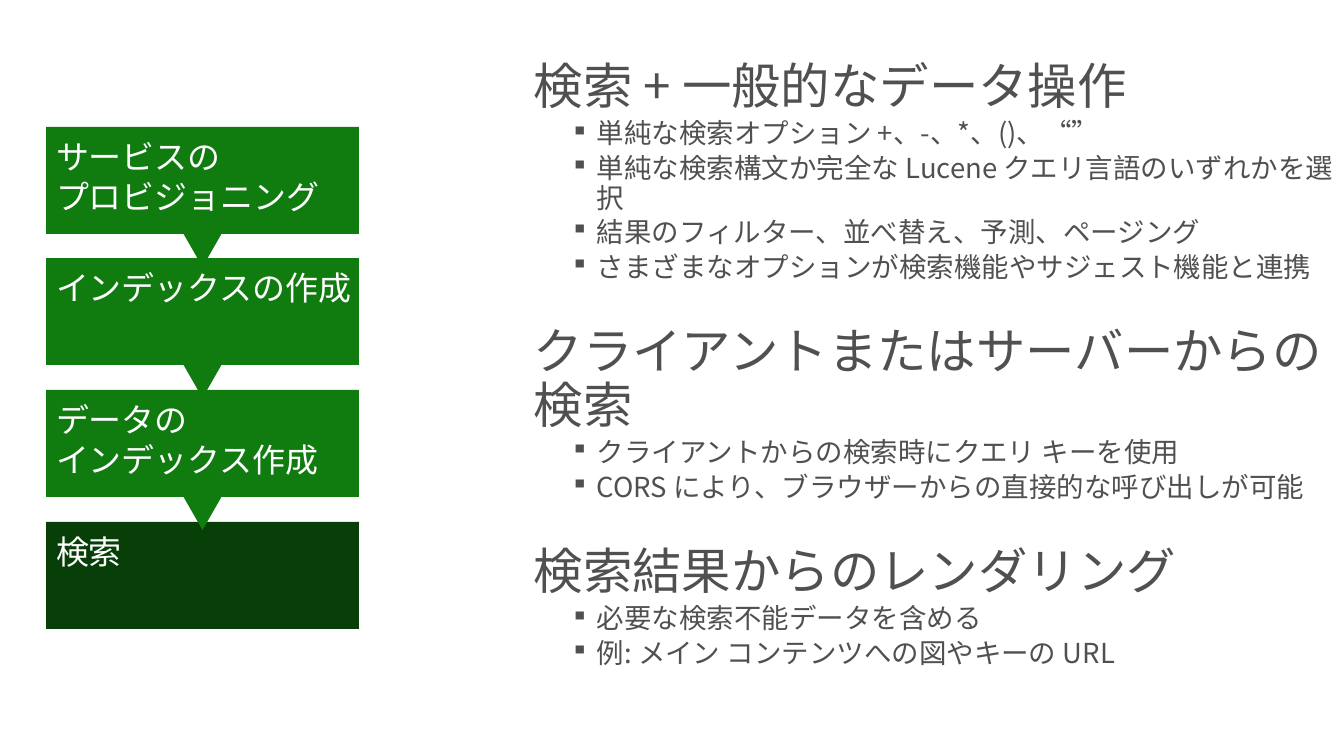
from pptx import Presentation
from pptx.dml.color import RGBColor
from pptx.enum.shapes import MSO_SHAPE
from pptx.enum.text import MSO_ANCHOR, PP_ALIGN
from pptx.oxml.ns import qn
from pptx.util import Emu, Pt
from lxml import etree

RECT, TRIANGLE = MSO_SHAPE.RECTANGLE, MSO_SHAPE.ISOSCELES_TRIANGLE
TOP, LEFT = MSO_ANCHOR.TOP, PP_ALIGN.LEFT
FONT = "Noto Sans CJK JP"
COLORS = {"step": "107C10", "current": "083E08", "label": "FFFFFF", "body": "505050"}


def px(n):
    return Emu(round(n * 914400 / 98.8))


def add_run(p, text, size, color):
    r = p.add_run()
    r.text = text
    r.font.size = Pt(size)
    r.font.name = FONT
    r.font.color.rgb = RGBColor.from_string(COLORS[color])
    etree.SubElement(r._r.get_or_add_rPr(), qn("a:ea"), typeface=FONT)


prs = Presentation()
prs.slide_width, prs.slide_height = px(1344), px(756)
s = prs.slides.add_slide(prs.slide_layouts[6])

# Process steps, then the pointers between them
steps = [
    ["サービスの", "プロビジョニング"],
    ["インデックスの作成"],
    ["データの", "インデックス作成"],
    ["検索"],
]
tops = [127 + 395 * i // 3 for i in range(len(steps))]
boxes = [(RECT, 46, top, 313, 107, lines) for top, lines in zip(tops, steps)]
pointers = [(TRIANGLE, 179, top + 99, 47, 41, []) for top in tops[:-1]]
flow = s.shapes.add_group_shape()
for kind, x, y, w, h, lines in boxes + pointers:
    sp = flow.shapes.add_shape(kind, px(x), px(y), px(w), px(h))
    sp.shadow.inherit = False
    sp.fill.solid()
    color = "current" if lines == steps[-1] else "step"
    sp.fill.fore_color.rgb = RGBColor.from_string(COLORS[color])
    sp.line.fill.background()
    if kind == TRIANGLE:
        sp.rotation = 180
        continue
    tf = sp.text_frame
    tf.word_wrap = True
    tf.vertical_anchor = TOP
    tf.margin_left = tf.margin_top = px(10)
    tf.margin_right = tf.margin_bottom = px(4)
    p = tf.paragraphs[0]
    p.alignment = LEFT
    for i, line in enumerate(lines):
        if i:
            p.add_line_break()
        add_run(p, line, 24, "label")

# Topics with bullets
topics = [
    ("検索 + 一般的なデータ操作", [
        "単純な検索オプション +、-、*、()、“”",
        "単純な検索構文か完全な Lucene クエリ言語のいずれかを選択",
        "結果のフィルター、並べ替え、予測、ページング",
        "さまざまなオプションが検索機能やサジェスト機能と連携",
    ]),
    ("クライアントまたはサーバーからの検索", [
        "クライアントからの検索時にクエリ キーを使用",
        "CORS により、ブラウザーからの直接的な呼び出しが可能",
    ]),
    ("検索結果からのレンダリング", [
        "必要な検索不能データを含める",
        "例: メイン コンテンツへの図やキーの URL",
    ]),
]
tf = s.shapes.add_textbox(px(524), px(57), px(820), px(642)).text_frame
tf.word_wrap = True
p = tf.paragraphs[0]
for i, (heading, bullets) in enumerate(topics):
    if i:
        p = tf.add_paragraph()
    p.line_spacing = 0.9
    p.space_before = Pt(32 if i else 6.5)
    add_run(p, heading, 36, "body")
    for bullet in bullets:
        p = tf.add_paragraph()
        p.level = 1
        p.line_spacing = 0.9
        p.space_before = Pt(3.6)
        pPr = p._p.get_or_add_pPr()
        pPr.set("marL", str(px(63)))
        pPr.set("indent", str(-px(26)))
        etree.SubElement(pPr, qn("a:buSzPct"), val="90000")
        etree.SubElement(pPr, qn("a:buChar"), char="▪")
        add_run(p, bullet, 20, "body")

prs.save("out.pptx")
